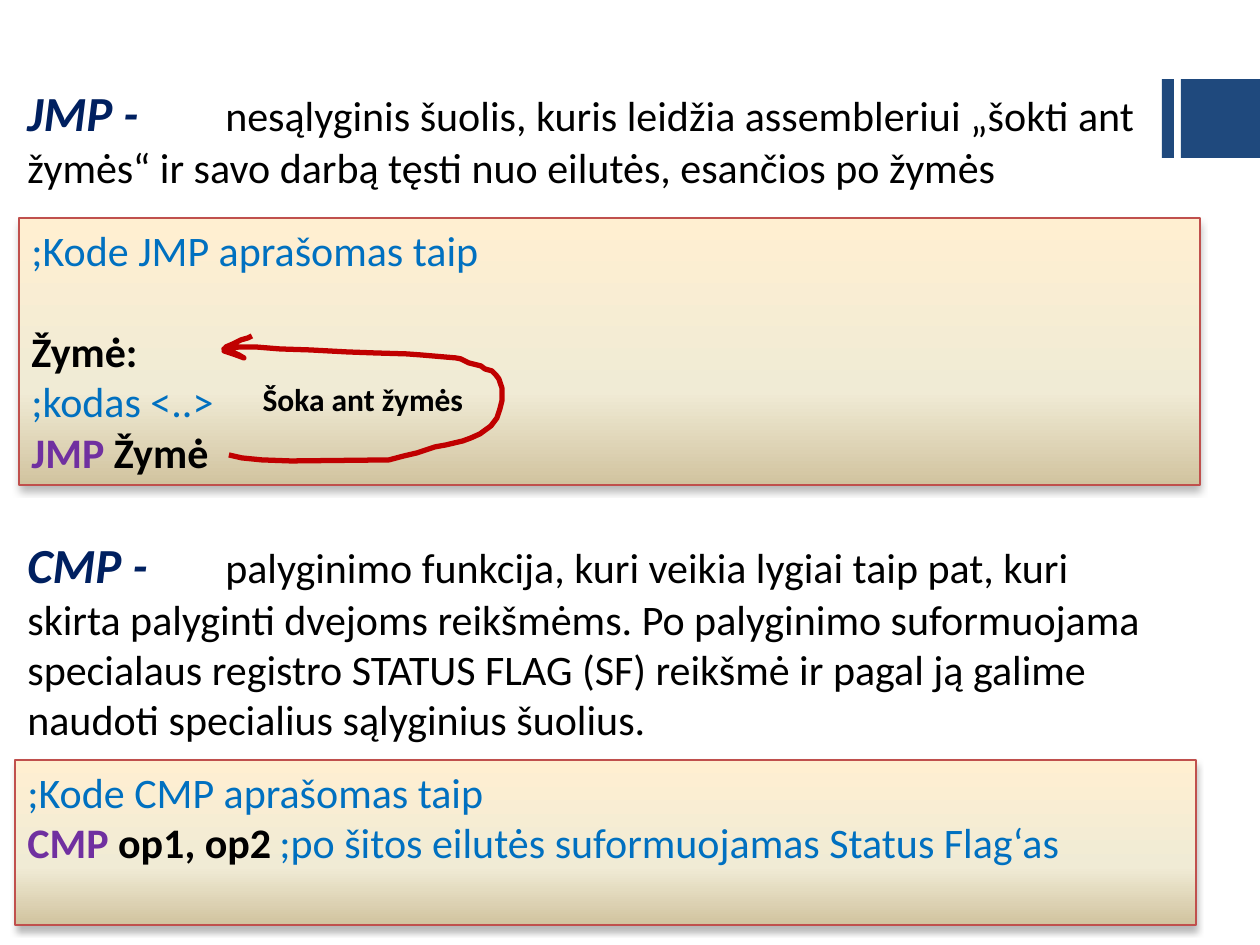
from copy import deepcopy
from lxml import etree
from pptx import Presentation
from pptx import util as u
from pptx.dml import color
from pptx.enum import shapes, text
from pptx.oxml import ns

PX = 914400 // 126
C = {"navy": "002060", "bar": "1F497D", "black": "000000", "blue": "0070C0",
     "purple": "7030A0", "border": "C0504D", "arrow": "C00000"}
SAND = [(0, "FFEFD1"), (0.65, "F0EBD5"), (1, "D1C39F")]
JUMP = [(229, 455), (242, 458), (262, 460), (291, 461), (389, 460), (404, 456),
        (417, 453), (435, 447), (446, 445), (463, 441), (471, 438), (480, 434),
        (491, 426), (497, 418), (500, 409), (502, 401), (502, 388), (499, 379),
        (496, 375), (492, 371), (485, 369), (481, 366), (469, 363), (461, 359),
        (456, 358), (421, 355), (407, 354), (374, 353), (347, 352), (310, 350),
        (280, 349), (255, 347), (240, 347), (224, 349), (232, 352), (239, 355),
        (244, 358), (236, 355), (224, 351), (226, 347), (233, 344), (241, 340),
        (248, 338), (252, 336)]


def rgb(name):
    return color.RGBColor.from_string(C.get(name, name))


def box_emu(box):
    return [u.Emu(v * PX) for v in box]


def add_text(p, value, colour, size=24, bold=False, italic=False):
    r = p.add_run()
    r.text = value
    r.font.name = "Calibri"
    r.font.size = u.Pt(size)
    r.font.bold = bold
    r.font.italic = italic
    r.font.color.rgb = rgb(colour)


def add_rect(s, box):
    sp = s.shapes.add_shape(shapes.MSO_SHAPE.RECTANGLE, *box_emu(box))
    sp.shadow.inherit = False
    return sp


def corner_bars(s, box):
    x, y, w, h = box
    for left, width in ((x, 12), (x + 19, w - 19)):
        sp = add_rect(s, (left, y, width, h))
        sp.fill.solid()
        sp.fill.fore_color.rgb = rgb("bar")
        sp.line.fill.background()


def definition(s, box, term, meaning):
    tf = s.shapes.add_textbox(*box_emu(box)).text_frame
    tf.word_wrap = True
    p = tf.paragraphs[0]
    tabs = etree.SubElement(p._p.get_or_add_pPr(), ns.qn("a:tabLst"))
    etree.SubElement(tabs, ns.qn("a:tab"), pos=str(198 * PX), algn="l")
    add_text(p, term, "navy", 28, True, True)
    add_text(p, "\t" + meaning, "black")


def sand_fill(sp):
    sp.fill.gradient()
    sp.fill.gradient_angle = 270
    stops = sp._element.spPr.find(".//" + ns.qn("a:gsLst"))
    stops.append(deepcopy(stops[-1]))
    for stop, (position, colour) in zip(sp.fill.gradient_stops, SAND):
        stop.position = position
        stop.color.rgb = rgb(colour)


def soft_shadow(sp):
    effects = sp._element.spPr.find(ns.qn("a:effectLst"))
    shadow = etree.SubElement(effects, ns.qn("a:outerShdw"), blurRad=str(u.Pt(4)),
                              dist=str(u.Pt(3)), dir="5400000", rotWithShape="0")
    tint = etree.SubElement(shadow, ns.qn("a:srgbClr"), val=C["black"])
    etree.SubElement(tint, ns.qn("a:alpha"), val="28000")


def code_box(s, box, lines):
    sp = add_rect(s, box)
    sand_fill(sp)
    sp.line.color.rgb = rgb("border")
    sp.line.width = u.Pt(1)
    soft_shadow(sp)
    tf = sp.text_frame
    tf.word_wrap = True
    tf.vertical_anchor = text.MSO_ANCHOR.TOP
    for i, (space, runs) in enumerate(lines):
        p = tf.add_paragraph() if i else tf.paragraphs[0]
        p.alignment = text.PP_ALIGN.LEFT
        p.space_before = u.Pt(space)
        for value, colour, bold in runs:
            add_text(p, value, colour, bold=bold)


def jump_arrow(s, origin, label):
    x, y = origin
    points = [(px - JUMP[0][0] + x, py - JUMP[0][1] + y) for px, py in JUMP]
    builder = s.shapes.build_freeform(*points[0], scale=PX)
    builder.add_line_segments(points[1:], close=False)
    sp = builder.convert_to_shape()
    sp.shadow.inherit = False
    sp.fill.background()
    sp.line.color.rgb = rgb("arrow")
    sp.line.width = u.Pt(3)
    tf = sp.text_frame
    tf.word_wrap = True
    tf.vertical_anchor = text.MSO_ANCHOR.MIDDLE
    p = tf.paragraphs[0]
    p.alignment = text.PP_ALIGN.CENTER
    add_text(p, label, "black", 18, True)


prs = Presentation()
prs.slide_width, prs.slide_height = u.Inches(10), u.Inches(7.5)
s = prs.slides.add_slide(prs.slide_layouts[6])

corner_bars(s, (1162, 79, 98, 79))
definition(s, (15, 76, 1150, 123), "JMP -",
           "nesąlyginis šuolis, kuris leidžia assembleriui „šokti ant žymės“ "
           "ir savo darbą tęsti nuo eilutės, esančios po žymės")
code_box(s, (19, 218, 1181, 267), [
    (0, [(";Kode JMP aprašomas taip", "blue", False)]),
    (29, [("Žymė:", "black", True)]),
    (0, [(";kodas <..>", "blue", False)]),
    (0, [("JMP", "purple", True), (" Žymė", "black", True)]),
])
jump_arrow(s, (229, 455), "Šoka ant žymės")
definition(s, (15, 528, 1150, 224), "CMP -",
           "palyginimo funkcija, kuri veikia lygiai taip pat, kuri skirta palyginti "
           "dvejoms reikšmėms. Po palyginimo suformuojama specialaus registro STATUS "
           "FLAG (SF) reikšmė ir pagal ją galime naudoti specialius sąlyginius šuolius.")
code_box(s, (15, 760, 1181, 165), [
    (0, [(";Kode CMP aprašomas taip", "blue", False)]),
    (0, [("CMP ", "purple", True), ("op1, op2\t", "black", True),
         (";po šitos eilutės suformuojamas Status Flag‘as", "blue", False)]),
])

prs.save("out.pptx")
